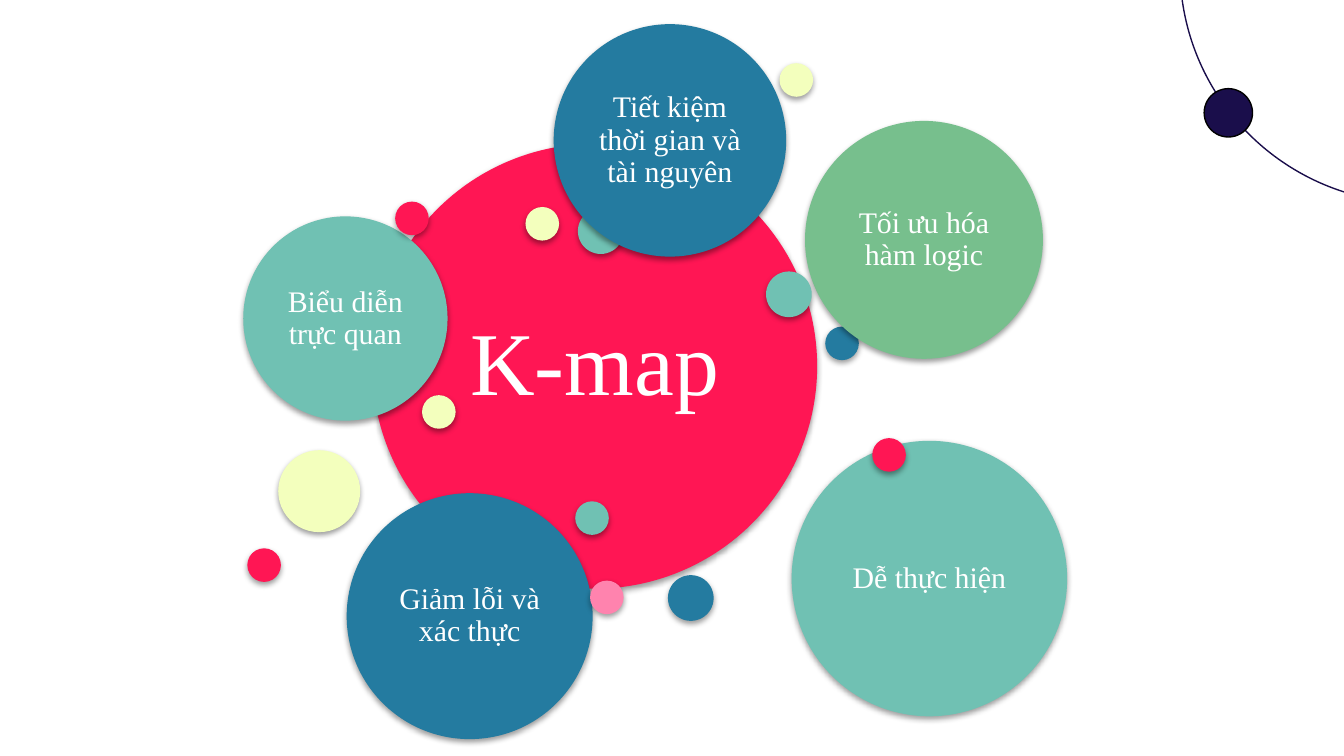
"""Build a slide of bubbles around K-map and its benefits."""
from typing import NamedTuple

from lxml.etree import SubElement
from pptx import Presentation
from pptx.dml.color import RGBColor
from pptx.enum.shapes import MSO_SHAPE
from pptx.enum.text import MSO_ANCHOR, PP_ALIGN
from pptx.oxml.ns import qn
from pptx.util import Inches, Pt

RED, BLUE, TEAL = "FF1654", "247BA0", "70C1B3"
CREAM, GREEN, PINK = "F3FFBD", "77BF8D", "FF83AE"
NAVY, BLACK, WHITE = "1A0E4B", "000000", "FFFFFF"
FONT = "Times New Roman"
DOT, BEAD = 0.25, 0.34


class Bubble(NamedTuple):
    """A filled circle with an optional label."""
    left: float
    top: float
    size: float
    fill: str
    label: str = ""
    points: int = 16
    inset: float = 0.07


BUBBLES = [
    Bubble(2.77, 1.07, 3.31, RED, "K-map", 48, 0.2),
    Bubble(3.84, 4.02, DOT, CREAM),
    Bubble(6.14, 2.43, DOT, BLUE),
    Bubble(4.97, 4.28, BEAD, BLUE),
    Bubble(3.91, 1.54, DOT, CREAM),
    Bubble(3.14, 2.94, DOT, CREAM),
    Bubble(1.81, 1.61, 1.52, TEAL, "Biểu diễn trực quan"),
    Bubble(4.3, 1.55, BEAD, TEAL),
    Bubble(2.07, 3.35, 0.61, CREAM),
    Bubble(5.99, 0.9, 1.77, GREEN, "Tối ưu hóa hàm logic"),
    Bubble(5.7, 2.02, BEAD, TEAL),
    Bubble(1.84, 4.08, DOT, RED),
    Bubble(4.28, 3.73, DOT, TEAL),
    Bubble(5.89, 3.28, 2.05, TEAL, "Dễ thực hiện"),
    Bubble(6.49, 3.26, DOT, RED),
    Bubble(2.58, 3.67, 1.83, BLUE, "Giảm lỗi và xác thực"),
    Bubble(4.39, 4.32, DOT, PINK),
    Bubble(4.12, 0.18, 1.73, BLUE, "Tiết kiệm thời gian và tài nguyên"),
    Bubble(2.94, 1.5, DOT, RED),
    Bubble(5.8, 0.47, DOT, CREAM),
]


def color(code: str) -> RGBColor:
    """Turn a hex string into a colour."""
    return RGBColor.from_string(code)


def circle(slide, left: float, top: float, size: float, fill: str = "", line: str = ""):
    """Draw a circle without a shadow."""
    shape = slide.shapes.add_shape(
        MSO_SHAPE.OVAL, Inches(left), Inches(top), Inches(size), Inches(size))
    if fill:
        shape.fill.solid()
        shape.fill.fore_color.rgb = color(fill)
    else:
        shape.fill.background()
    if line:
        shape.line.color.rgb = color(line)
        shape.line.width = Pt(0.75)
    else:
        shape.line.fill.background()
    shape.shadow.inherit = False
    return shape


def shade(shape) -> None:
    """Cast a soft shadow straight down."""
    effects = shape.element.spPr.find(qn("a:effectLst"))
    outer = SubElement(effects, qn("a:outerShdw"), blurRad=str(Pt(3.1)),
                       dist=str(Pt(1.6)), dir="5400000", rotWithShape="0")
    tint = SubElement(outer, qn("a:srgbClr"), val=BLACK)
    SubElement(tint, qn("a:alpha"), val="38000")


def write(shape, item: Bubble) -> None:
    """Set the label in the middle of its bubble."""
    frame = shape.text_frame
    frame.word_wrap = True
    frame.vertical_anchor = MSO_ANCHOR.MIDDLE
    frame.margin_left = frame.margin_right = Inches(item.inset)
    frame.margin_top = frame.margin_bottom = Inches(item.inset)
    para = frame.paragraphs[0]
    para.alignment = PP_ALIGN.CENTER
    para.line_spacing = 0.9
    run = para.add_run()
    run.text = item.label
    run.font.name = FONT
    run.font.size = Pt(item.points)
    run.font.color.rgb = color(WHITE)


def main() -> None:
    """Draw the corner ring and the bubbles, then save."""
    deck = Presentation()
    deck.slide_width = Inches(10)
    deck.slide_height = Inches(10 * 9 / 16)
    slide = deck.slides.add_slide(deck.slide_layouts[6])
    circle(slide, 8.78, -1.99, 3.5, line=NAVY)
    circle(slide, 8.96, 0.66, 0.36, NAVY, BLACK)
    for item in BUBBLES:
        shape = circle(slide, item.left, item.top, item.size, item.fill)
        shade(shape)
        if item.label:
            write(shape, item)
    deck.save("out.pptx")


if __name__ == "__main__":
    main()
